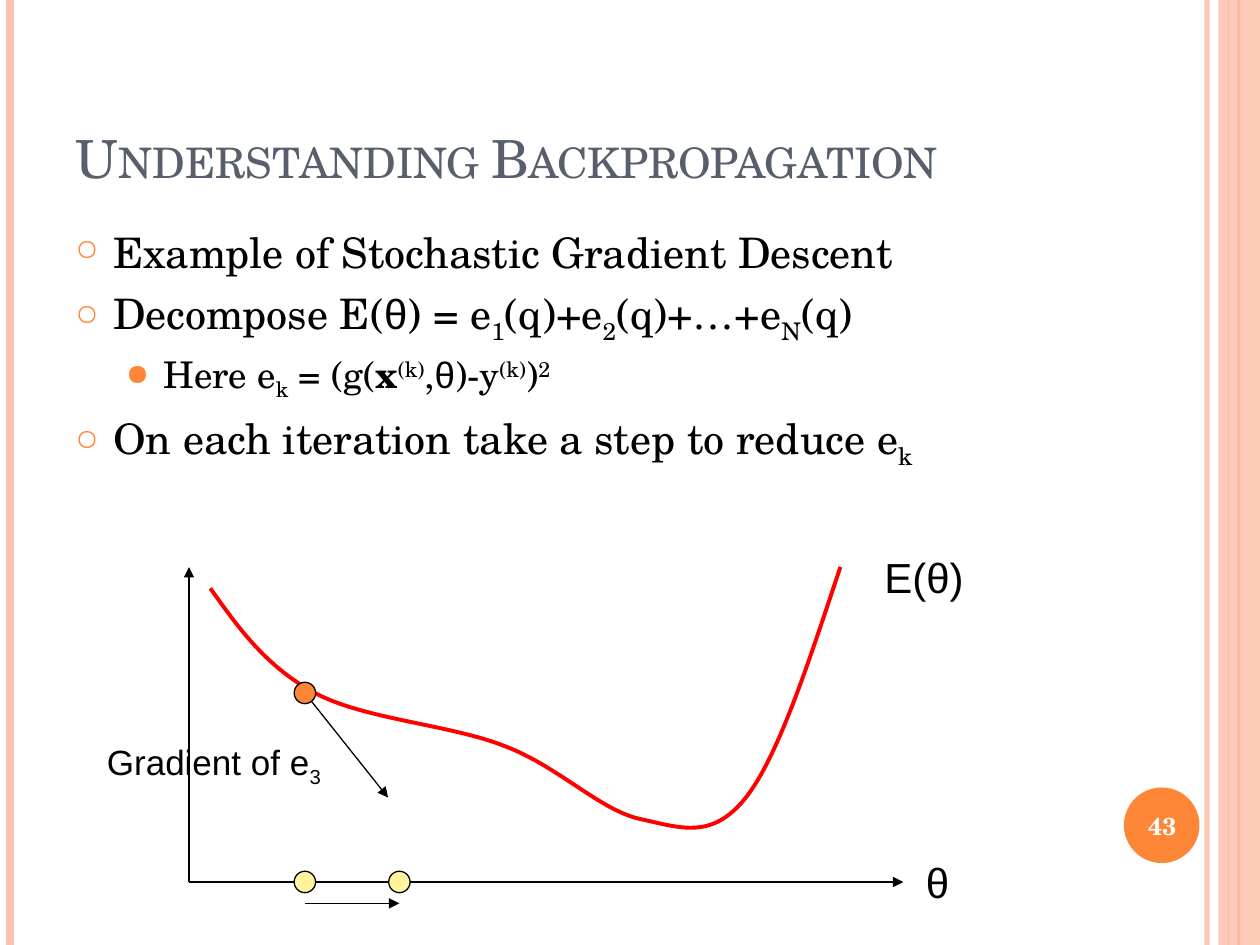
import pptx
import pptx.dml.color
import pptx.enum.shapes
import pptx.enum.text
import pptx.oxml
import pptx.oxml.ns
import pptx.util

Inches, Pt = pptx.util.Inches, pptx.util.Pt
RGB = pptx.dml.color.RGBColor
SHAPE = pptx.enum.shapes.MSO_SHAPE
ANCHOR = pptx.enum.text.MSO_ANCHOR
ALIGN = pptx.enum.text.PP_ALIGN
qn = pptx.oxml.ns.qn

BLACK = RGB(0, 0, 0)
WHITE = RGB(255, 255, 255)
ORANGE = RGB(0xFE, 0x86, 0x37)
PEACH = RGB(0xFE, 0xC3, 0xAE)
YELLOW = RGB(0xFF, 0xF3, 0x9D)
RED = RGB(255, 0, 0)
SLATE = RGB(0x57, 0x5F, 0x6D)
SERIF, SANS = "TeX Gyre Schola", "Arial"

TITLE = "Understanding Backpropagation"
BULLETS = [
    (0, [("Example of Stochastic Gradient Descent", "")]),
    (0, [("Decompose E(", ""), ("θ", "sans"), (") = e", ""), ("1", "sub"),
         ("(q)+e", ""), ("2", "sub"), ("(q)+…+e", ""), ("N", "sub"), ("(q)", "")]),
    (1, [("Here e", ""), ("k", "sub"), (" = (g(", ""), ("x", "bold"), ("(k)", "sup"),
         (",", ""), ("θ", "sans"), (")-y", ""), ("(k)", "sup"), (")", ""), ("2", "sup")]),
    (0, [("On each iteration take a step to reduce e", ""), ("k", "sub")]),
]
LEVELS = [
    dict(size=24, left=0.3, before=6, char="○", scale=70),
    dict(size=21, left=0.7, before=4, char="●", scale=80),
]
LABELS = [
    ((6.92, 4.33, 1.08, 0.5), 24, [("E(θ)", "")]),
    ((7.25, 6.75, 1.08, 0.5), 24, [("θ", "")]),
    ((0.75, 5.83, 2.08, 0.43), 20, [("Gradient of e", ""), ("3", "sub")]),
]
STRIPES = [(9.58, PEACH, 3, 93), (0.08, PEACH, 4.5, 100),
           (9.83, ORANGE, 1.5, 100), (9.75, ORANGE, 0.75, 100)]
ORIGIN = (1.5, 7)
AXES = [(ORIGIN, (7.17, 7)), (ORIGIN, (1.5, 4.5))]
STEPS = [((2.42, 5.5), (3.08, 6.33)), ((2.42, 7.17), (3.17, 7.17))]
DOTS = [(2.42, 5.5, ORANGE), (2.42, 7, YELLOW), (3.17, 7, YELLOW)]
DOT = 0.17
ERROR_CURVE = [
    (1.67, 4.67),
    (1.89, 4.98), (2.11, 5.29), (2.5, 5.5),
    (2.89, 5.71), (3.57, 5.75), (4, 5.92),
    (4.43, 6.08), (4.76, 6.43), (5.08, 6.5),
    (5.4, 6.57), (5.65, 6.67), (5.92, 6.33),
    (6.18, 6), (6.42, 5.25), (6.67, 4.5),
]


def add(parent, tag, **attrs):
    el = parent.makeelement(qn(tag), attrs)
    parent.append(el)
    return el


def set_alpha(sp, percent):
    for color in sp._element.spPr.iter(qn("a:srgbClr")):
        add(color, "a:alpha", val=str(percent * 1000))


def add_line(s, start, end, color=BLACK, width=0.75, arrow=False):
    ends = [Inches(v) for v in (*start, *end)]
    sp = s.shapes.add_connector(pptx.enum.shapes.MSO_CONNECTOR.STRAIGHT, *ends)
    sp.line.color.rgb = color
    sp.line.width = Pt(width)
    if arrow:
        add(sp.line._get_or_add_ln(), "a:tailEnd", type="triangle")
    add(sp._element.spPr, "a:effectLst")
    return sp


def add_filled(s, kind, box, color, outlined=False):
    sp = s.shapes.add_shape(kind, *map(Inches, box))
    sp.shadow.inherit = False
    sp.fill.solid()
    sp.fill.fore_color.rgb = color
    if outlined:
        sp.line.color.rgb = BLACK
        sp.line.width = Pt(0.75)
    else:
        sp.line.fill.background()
    return sp


def add_box(s, box):
    tf = s.shapes.add_textbox(*map(Inches, box)).text_frame
    tf.word_wrap = True
    return tf


def add_runs(p, runs, size, font, color=BLACK):
    for text, style in runs:
        r = p.add_run()
        r.text = text
        r.font.size = Pt(size)
        r.font.name = SANS if style == "sans" else font
        r.font.color.rgb = color
        r.font.bold = style == "bold"
        if style in ("sub", "sup"):
            r.font._element.set("baseline", "-25000" if style == "sub" else "30000")


def set_bullet(p, left, char, scale):
    pPr = p._p.get_or_add_pPr()
    pPr.set("marL", str(Inches(left)))
    pPr.set("indent", str(Inches(-0.3)))
    add(add(pPr, "a:buClr"), "a:srgbClr", val=str(ORANGE))
    add(pPr, "a:buSzPct", val=str(scale * 1000))
    add(pPr, "a:buChar", char=char)


def add_curve(s, points):
    pts = [(Inches(x), Inches(y)) for x, y in points]
    fb = s.shapes.build_freeform(*pts[0])
    fb.add_line_segments(pts[1:], close=False)
    sp = fb.convert_to_shape()
    sp.shadow.inherit = False
    sp.fill.background()
    sp.line.color.rgb = RED
    sp.line.width = Pt(2.25)
    segments = list(sp._element.iter(qn("a:lnTo")))
    outline = segments[0].getparent()
    for i in range(0, len(segments), 3):
        bezier = add(outline, "a:cubicBezTo")
        for seg in segments[i:i + 3]:
            bezier.append(seg[0])
            outline.remove(seg)


def main():
    prs = pptx.Presentation()
    prs.slide_width, prs.slide_height = Inches(10), Inches(7.5)
    s = prs.slides.add_slide(prs.slide_layouts[5])

    for x, color, width, alpha in STRIPES:
        set_alpha(add_line(s, (x, 0), (x, 7.5), color, width), alpha)
    set_alpha(add_filled(s, SHAPE.RECTANGLE, (9.67, 0, 0.33, 7.5), PEACH), 87)
    add_filled(s, SHAPE.OVAL, (8.92, 6.25, 0.6, 0.6), ORANGE)

    title = s.shapes.title
    title.left, title.top, title.width, title.height = map(Inches, (0.5, 0.3, 8.17, 1.25))
    tf = title.text_frame
    tf.auto_size = pptx.enum.text.MSO_AUTO_SIZE.NONE
    tf.vertical_anchor = ANCHOR.BOTTOM
    p = tf.paragraphs[0]
    p.alignment = ALIGN.LEFT
    add_runs(p, [(TITLE, "")], 30, SERIF, SLATE)
    p.runs[0].font._element.set("cap", "small")

    tf = add_box(s, (0.5, 1.75, 8.17, 5.33))
    for i, (level, runs) in enumerate(BULLETS):
        p = tf.add_paragraph() if i else tf.paragraphs[0]
        look = LEVELS[level]
        p.level = level
        p.space_before = Pt(look["before"])
        set_bullet(p, look["left"], look["char"], look["scale"])
        add_runs(p, runs, look["size"], SERIF)

    tf = add_box(s, (8.89, 6.27, 0.67, 0.57))
    tf.vertical_anchor = ANCHOR.MIDDLE
    tf.paragraphs[0].alignment = ALIGN.CENTER
    add_runs(tf.paragraphs[0], [("43", "bold")], 14, SERIF, WHITE)

    for start, end in AXES:
        add_line(s, start, end, arrow=True)
    add_curve(s, ERROR_CURVE)
    for start, end in STEPS:
        add_line(s, start, end, arrow=True)
    for x, y, color in DOTS:
        add_filled(s, SHAPE.OVAL, (x - DOT / 2, y - DOT / 2, DOT, DOT), color, outlined=True)
    for box, size, runs in LABELS:
        add_runs(add_box(s, box).paragraphs[0], runs, size, SANS)

    prs.save("out.pptx")


if __name__ == "__main__":
    main()
